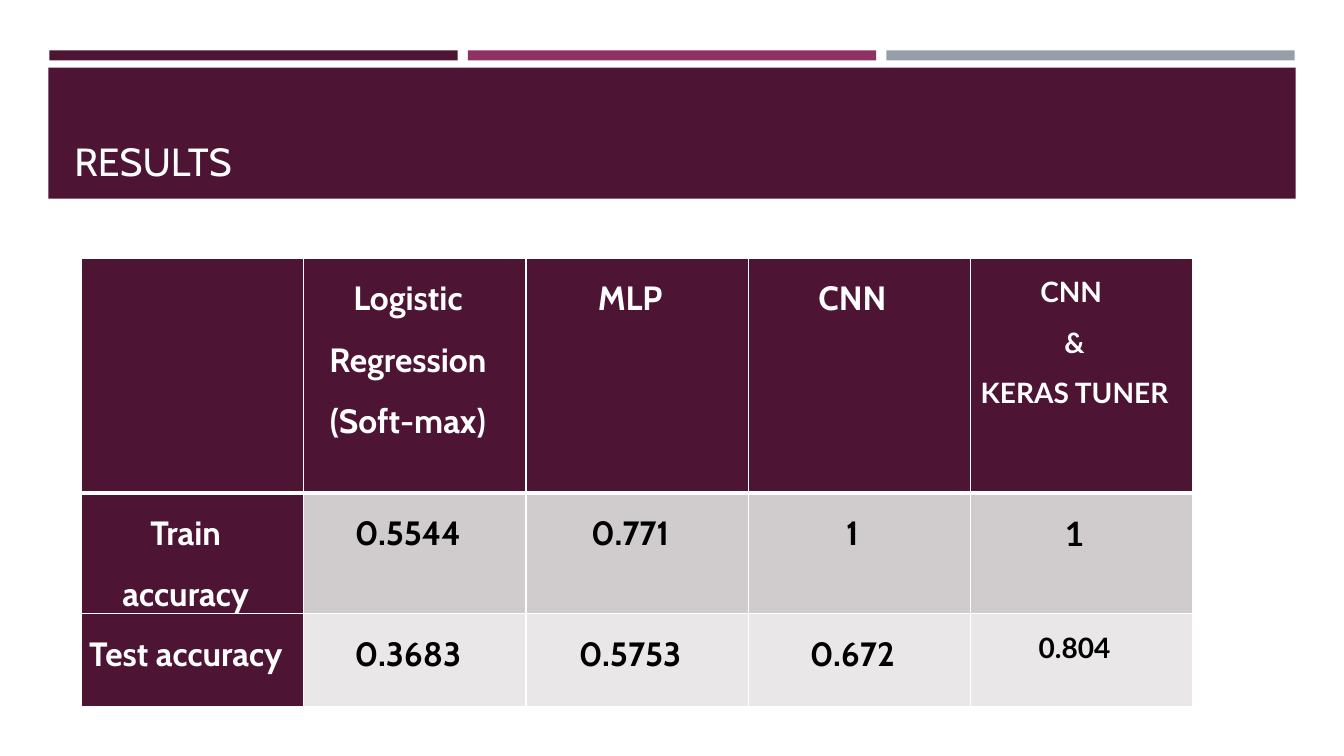
import pptx
import pptx.util
import pptx.dml.color
import pptx.enum.shapes
import pptx.enum.text
import pptx.oxml
import pptx.oxml.ns

Inches, Pt = pptx.util.Inches, pptx.util.Pt
ALIGN = pptx.enum.text.PP_ALIGN
ANCHOR = pptx.enum.text.MSO_ANCHOR

PLUM, BERRY, GREY = "4D1434", "903163", "969FA7"
WHITE, BLACK = "FFFFFF", "000000"
BAND_FILLS = ["D0CCCE", "E9E7E8"]

TITLE = "RESULTS"
CABIN, LATO, LATO_SMALL = ("Cabin", 24), ("Lato", 24), ("Lato", 20)
# Each cell: its paragraphs and its font
RESULTS = [
    [([], CABIN), (["Logistic Regression (Soft-max)"], CABIN), (["MLP"], CABIN),
     (["CNN"], CABIN), (["CNN ", "&", "KERAS TUNER"], LATO_SMALL)],
    [(["Train accuracy"], CABIN), (["0.5544"], CABIN), (["0.771"], CABIN),
     (["1"], CABIN), (["1"], LATO)],
    [(["Test accuracy"], CABIN), (["0.3683"], CABIN), (["0.5753"], CABIN),
     (["0.672"], CABIN), (["0.804"], LATO_SMALL)],
]
ROW_HEIGHTS = [2.33, 1.2, 0.92]
TABLE_LEFT, TABLE_TOP, TABLE_WIDTH = 0.81, 2.56, 11.02
CELL_LEFT, CELL_RIGHT = 0.07, 0.21
STRIPE_LEFT, STRIPE_WIDTH, STRIPE_GAP = 0.49, 4.05, 0.1


def rgb(value):
    """Turn a hex string into a colour."""
    return pptx.dml.color.RGBColor.from_string(value)


def add_block(slide, left, top, width, height, color):
    """Add a plain filled rectangle."""
    sp = slide.shapes.add_shape(pptx.enum.shapes.MSO_SHAPE.RECTANGLE, Inches(left),
                                Inches(top), Inches(width), Inches(height))
    sp.shadow.inherit = False
    sp.fill.solid()
    sp.fill.fore_color.rgb = rgb(color)
    sp.line.fill.background()


def add_run(p, text, font, size, color, bold=False):
    """Add a formatted run to a paragraph."""
    r = p.add_run()
    r.text = text
    r.font.name, r.font.size, r.font.bold = font, Pt(size), bold
    r.font.color.rgb = rgb(color)


def set_borders(cell, bottom, top):
    """Draw white borders round a cell, with the given top and bottom widths."""
    tcPr = cell._tc.get_or_add_tcPr()
    sides = [("lnL", 1), ("lnR", 1), ("lnT", top), ("lnB", bottom)]
    for i, (side, width) in enumerate(sides):
        tcPr.insert(i, pptx.oxml.parse_xml(
            f'<a:{side} {pptx.oxml.ns.nsdecls("a")} w="{Pt(width)}"><a:solidFill>'
            f'<a:srgbClr val="{WHITE}"/></a:solidFill></a:{side}>'))


def fill_cell(cell, row, col, lines, font):
    """Write and format one table cell."""
    heading = row == 0 or col == 0
    cell.fill.solid()
    cell.fill.fore_color.rgb = rgb(PLUM if heading else BAND_FILLS[row - 1])
    cell.margin_left, cell.margin_right = Inches(CELL_LEFT), Inches(CELL_RIGHT)
    cell.margin_top = cell.margin_bottom = 0
    set_borders(cell, bottom=3 if row == 0 else 1, top=3 if row == 1 else 1)
    tf = cell.text_frame
    for i, line in enumerate(lines):
        p = tf.add_paragraph() if i else tf.paragraphs[0]
        p.alignment, p.line_spacing = ALIGN.CENTER, 1.5
        add_run(p, line, *font, WHITE if heading else BLACK, bold=True)


def add_title(slide):
    """Add the title text at the foot of the banner."""
    sp = slide.shapes.add_textbox(Inches(0.64), Inches(0.77), Inches(12.06), Inches(1.11))
    tf = sp.text_frame
    tf.word_wrap, tf.vertical_anchor = True, ANCHOR.BOTTOM
    add_run(tf.paragraphs[0], TITLE, "Cabin", 28, WHITE)


def add_results(slide):
    """Add the accuracy table with equal columns."""
    rows, cols = len(RESULTS), len(RESULTS[0])
    table = slide.shapes.add_table(rows, cols, Inches(TABLE_LEFT), Inches(TABLE_TOP),
                                   Inches(TABLE_WIDTH), Inches(sum(ROW_HEIGHTS))).table
    for row, cells in enumerate(RESULTS):
        table.rows[row].height = Inches(ROW_HEIGHTS[row])
        for col, (lines, font) in enumerate(cells):
            fill_cell(table.cell(row, col), row, col, lines, font)


prs = pptx.Presentation()
prs.slide_width, prs.slide_height = Inches(13.33), Inches(7.5)
s = prs.slides.add_slide(prs.slide_layouts[6])
for i, color in enumerate([PLUM, BERRY, GREY]):
    add_block(s, STRIPE_LEFT + i * (STRIPE_WIDTH + STRIPE_GAP), 0.5, STRIPE_WIDTH, 0.1, color)
add_block(s, 0.48, 0.67, 12.37, 1.3, PLUM)
add_title(s)
add_results(s)
prs.save("out.pptx")
